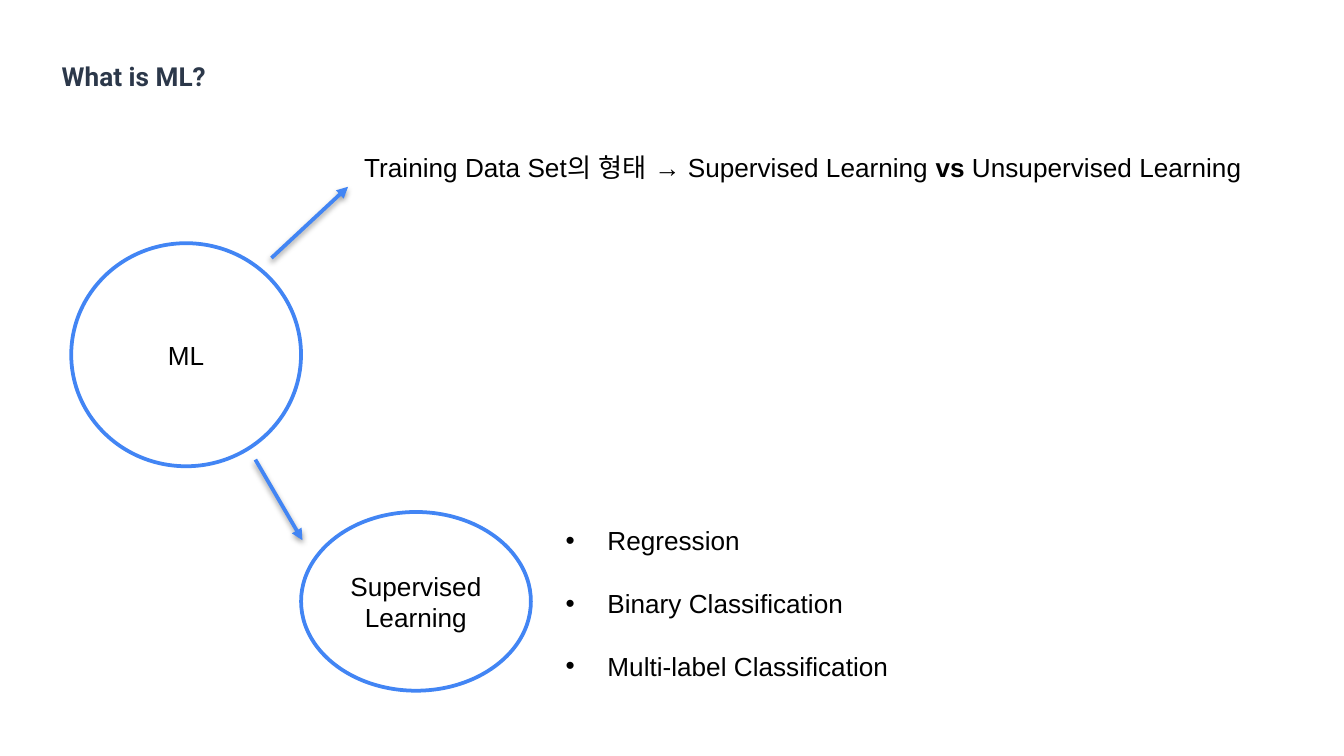
from lxml.etree import SubElement
from pptx import Presentation
from pptx.dml.color import RGBColor
from pptx.enum.shapes import MSO_CONNECTOR, MSO_SHAPE
from pptx.enum.text import MSO_ANCHOR, PP_ALIGN
from pptx.oxml import parse_xml
from pptx.oxml.ns import nsdecls, qn
from pptx.util import Inches, Pt

BLUE = RGBColor(0x42, 0x85, 0xF4)
NAVY = RGBColor(0x2C, 0x38, 0x4A)
BLACK = RGBColor(0, 0, 0)
WHITE = RGBColor(255, 255, 255)

SHADOW = (
    f'<a:effectLst {nsdecls("a")}>'
    '<a:outerShdw blurRad="38100" dist="20320" dir="5400000" rotWithShape="0">'
    '<a:srgbClr val="000000"><a:alpha val="38000"/></a:srgbClr>'
    '</a:outerShdw></a:effectLst>'
)


def prepare_frame(shape, anchor=MSO_ANCHOR.TOP):
    frame = shape.text_frame
    frame.word_wrap = True
    frame.vertical_anchor = anchor
    frame.margin_left = frame.margin_right = 0
    frame.margin_top = frame.margin_bottom = 0
    return frame


def style_paragraph(paragraph, name="Arial", color=BLACK):
    paragraph.font.name = name
    paragraph.font.size = Pt(14)
    paragraph.font.color.rgb = color
    latin = paragraph._p.pPr.find(qn("a:defRPr")).find(qn("a:latin"))
    latin.addnext(parse_xml(f'<a:ea {nsdecls("a")} typeface="{name}"/>'))


def add_text_frame(slide, box, anchor=MSO_ANCHOR.TOP):
    shape = slide.shapes.add_textbox(*map(Inches, box))
    return prepare_frame(shape, anchor)


def add_title(slide, box, text):
    paragraph = add_text_frame(slide, box, MSO_ANCHOR.MIDDLE).paragraphs[0]
    paragraph.text = text
    paragraph.line_spacing = 1.3
    style_paragraph(paragraph, "Roboto", NAVY)
    paragraph.font.bold = True


def add_circle(slide, box, text):
    shape = slide.shapes.add_shape(MSO_SHAPE.OVAL, *map(Inches, box))
    shape.shadow.inherit = False
    shape.fill.solid()
    shape.fill.fore_color.rgb = WHITE
    shape.line.color.rgb = BLUE
    shape.line.width = Pt(2)
    paragraph = prepare_frame(shape, MSO_ANCHOR.MIDDLE).paragraphs[0]
    paragraph.text = text
    paragraph.alignment = PP_ALIGN.CENTER
    style_paragraph(paragraph)


def add_arrow(slide, start, end):
    arrow = slide.shapes.add_connector(
        MSO_CONNECTOR.STRAIGHT, *map(Inches, start + end))
    arrow.line.color.rgb = BLUE
    arrow.line.width = Pt(2)
    properties = arrow._element.spPr
    SubElement(properties.find(qn("a:ln")), qn("a:tailEnd"), type="triangle")
    properties.append(parse_xml(SHADOW))


def add_comparison(slide, box, parts):
    paragraph = add_text_frame(slide, box).paragraphs[0]
    style_paragraph(paragraph)
    for text, bold in parts:
        run = paragraph.add_run()
        run.text = text
        run.font.bold = bold


def add_bullets(slide, box, items):
    frame = add_text_frame(slide, box)
    frame.text = "\n".join(items)
    for paragraph in frame.paragraphs:
        paragraph.line_spacing = 2.0
        style_paragraph(paragraph)
        properties = paragraph._p.get_or_add_pPr()
        properties.set("marL", str(Inches(0.31)))
        properties.set("indent", str(Inches(-0.31)))
        font = parse_xml(f'<a:buFont {nsdecls("a")} typeface="Arial"/>')
        bullet = parse_xml(f'<a:buChar {nsdecls("a")} char="•"/>')
        properties.find(qn("a:lnSpc")).addnext(font)
        font.addnext(bullet)


def main():
    presentation = Presentation()
    presentation.slide_width = Inches(10)
    presentation.slide_height = Inches(10) * 9 // 16
    slide = presentation.slides.add_slide(presentation.slide_layouts[6])

    add_title(slide, (0.46, 0.39, 5.13, 0.28), "What is ML?")
    add_circle(slide, (0.53, 1.81, 1.71, 1.66), "ML")
    add_arrow(slide, (2.02, 1.92), (2.59, 1.39))
    add_arrow(slide, (1.9, 3.42), (2.25, 4.02))
    add_comparison(slide, (2.71, 1.13, 6.71, 0.47), [
        ("Training Data Set의 형태 → Supervised Learning ", False),
        ("vs ", True),
        ("Unsupervised Learning", False),
    ])
    add_circle(slide, (2.24, 3.81, 1.71, 1.33), "Supervised Learning")
    add_bullets(slide, (4.21, 3.67, 4.73, 1.41), [
        "Regression", "Binary Classification", "Multi-label Classification",
    ])

    presentation.save("out.pptx")


if __name__ == "__main__":
    main()
